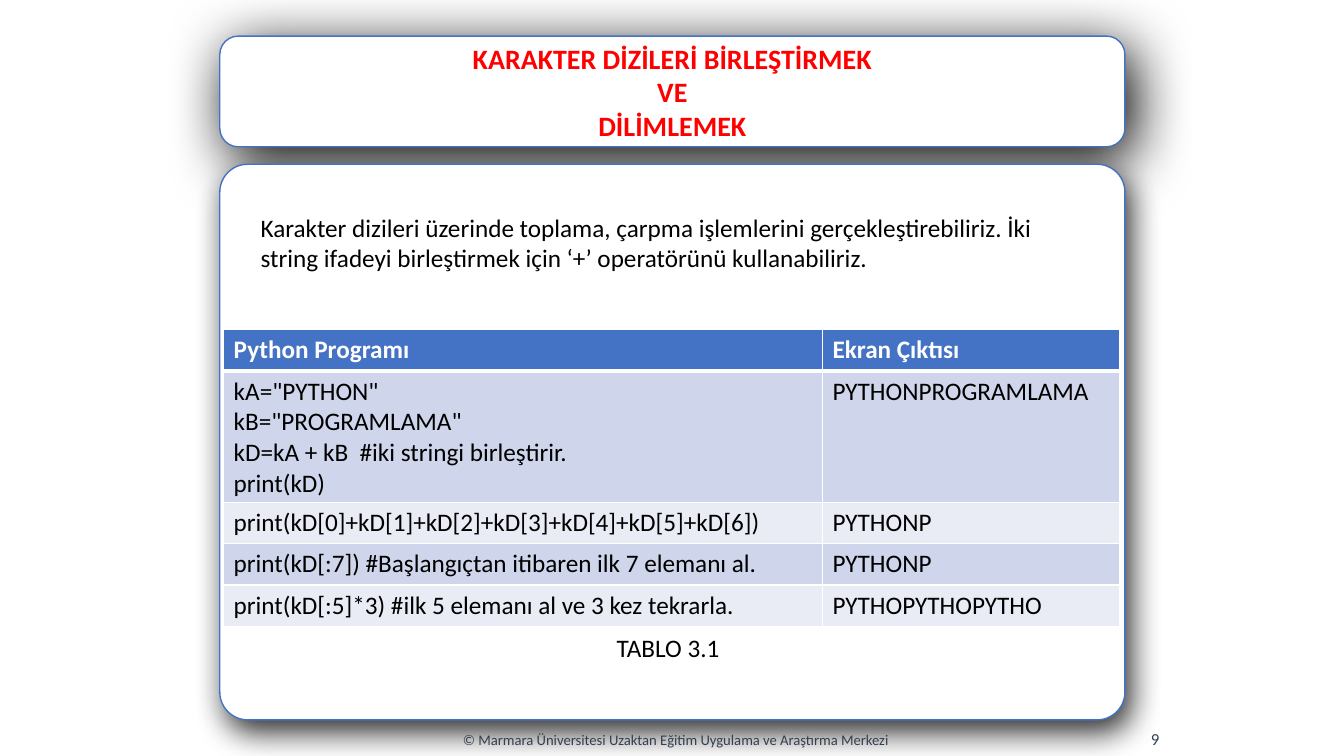
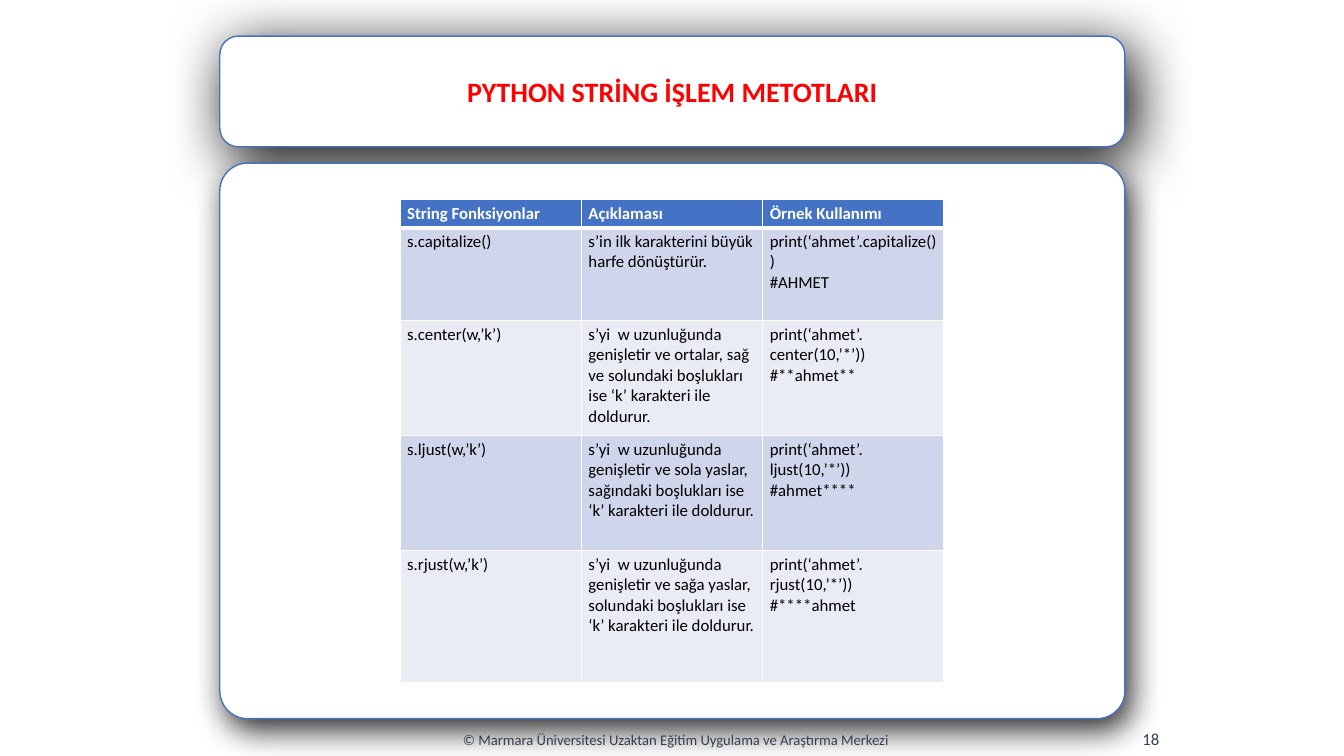
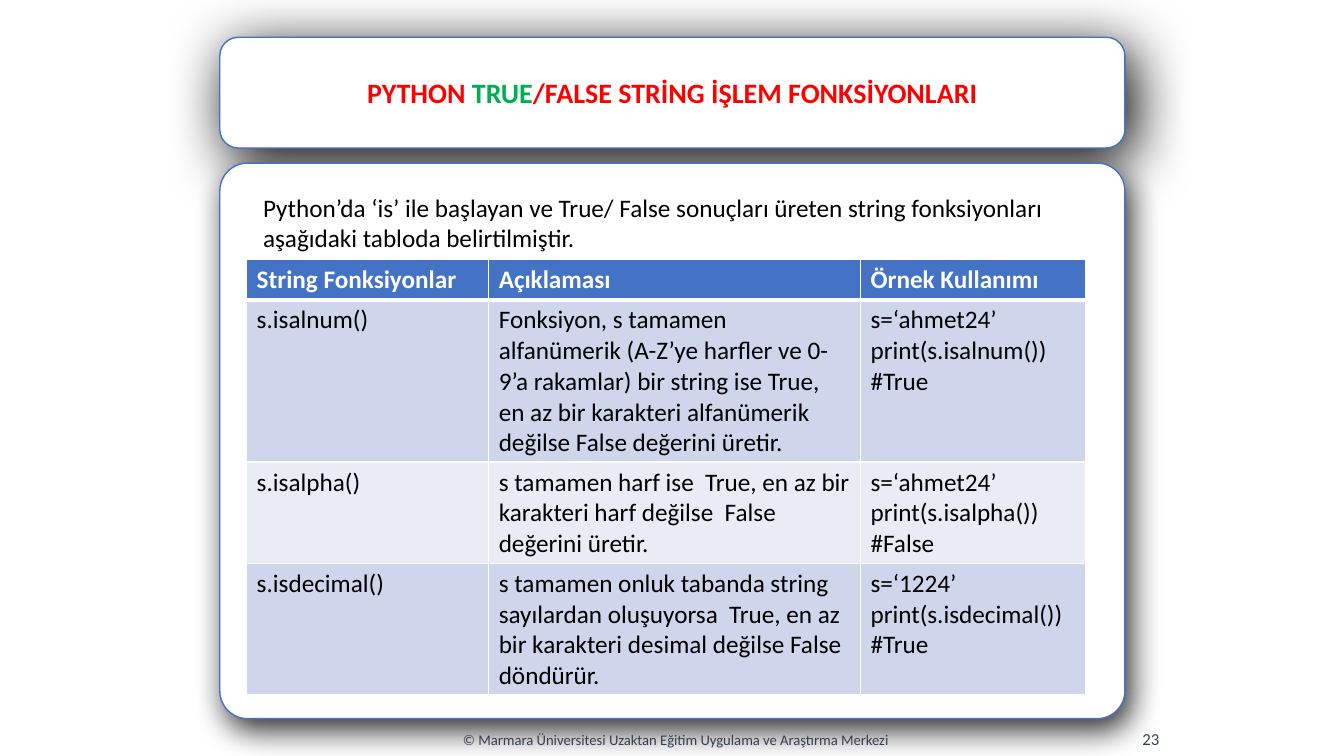
from pptx import Presentation
from pptx import util as u
from pptx.dml import color
from pptx.enum import shapes, text
from pptx.oxml import parse_xml
from pptx.oxml.ns import nsdecls

RED, GREEN, BLUE, SLATE = "FF0000", "00B050", "4472C4", "333F50"
WHITE, BLACK = "FFFFFF", "000000"
BANDS = "CFD5EA", "E9EBF5"
LEFT, CENTER, RIGHT = text.PP_ALIGN.LEFT, text.PP_ALIGN.CENTER, text.PP_ALIGN.RIGHT
TOP, MIDDLE = text.MSO_ANCHOR.TOP, text.MSO_ANCHOR.MIDDLE
OWNER = "© Marmara Üniversitesi Uzaktan Eğitim Uygulama ve Araştırma Merkezi"
HEADS = ["String Fonksiyonlar", "Açıklaması", "Örnek Kullanımı"]
CARD = 5.54, 22.81


def rgb(code):
    return color.RGBColor.from_string(code)


def cm(values):
    return [u.Cm(v) for v in values]


def put(item, form):
    for key, value in form.items():
        setattr(item, key, value)


def write(frame, lines, size, tint=BLACK, bold=False, align=LEFT):
    for i, line in enumerate(lines):
        para = frame.add_paragraph() if i else frame.paragraphs[0]
        put(para, {"alignment": align, "line_spacing": 1.0})
        for words, hue in [(line, tint)] if isinstance(line, str) else line:
            run = para.add_run()
            run.text = words
            put(run.font, {"name": "Calibri", "size": u.Pt(size), "bold": bold})
            run.font.color.rgb = rgb(hue)


def label(slide, box, words, size, tint=BLACK, align=LEFT, anchor=TOP):
    frame = slide.shapes.add_textbox(*cm(box)).text_frame
    put(frame, {"word_wrap": True, "vertical_anchor": anchor})
    write(frame, [words], size, tint, align=align)


def card(slide, top, high, alpha, blur, angle, round=None):
    left, wide = CARD
    kind = shapes.MSO_SHAPE.ROUNDED_RECTANGLE
    shape = slide.shapes.add_shape(kind, *cm((left, top, wide, high)))
    if round:
        shape.adjustments[0] = round
    shape.fill.solid()
    shape.fill.fore_color.rgb = rgb(WHITE)
    shape.line.color.rgb = rgb(BLUE)
    shape.line.width = u.Pt(1)
    shape._element.spPr.append(parse_xml(
        f'<a:effectLst {nsdecls("a")}><a:outerShdw blurRad="{u.Pt(blur)}" '
        f'dist="{u.Pt(9)}" dir="{angle * 60000}" algn="ctr" rotWithShape="0">'
        f'<a:srgbClr val="{BLACK}"><a:alpha val="{alpha * 1000}"/></a:srgbClr>'
        '</a:outerShdw></a:effectLst>'))


def page(deck, lines, number, top=0.91, body=4.11):
    slide = deck.slides.add_slide(deck.slide_layouts[5])
    card(slide, top, 2.79, 99, 43, 60)
    card(slide, body, 14, 81, 23, 64, 0.05)
    title = slide.shapes.title
    left, wide = CARD
    put(title, dict(zip(("left", "top", "width", "height"), cm((left, top, wide, 2.79)))))
    put(title.text_frame, {"word_wrap": True, "vertical_anchor": MIDDLE,
                           "auto_size": text.MSO_AUTO_SIZE.NONE})
    write(title.text_frame, lines, 20, RED, True, CENTER)
    title._element.getparent().append(title._element)
    label(slide, (9.53, 18.14, 15.01, 1.02), OWNER, 10.5, SLATE, CENTER, MIDDLE)
    label(slide, (23.55, 18.11, 5.92, 1.02), number, 12, SLATE, RIGHT, MIDDLE)
    return slide


def border(cell, row):
    widths = {"L": 1, "R": 1, "T": 3 if row == 1 else 1, "B": 1 if row else 3}
    for side, wide in widths.items():
        cell._tc.get_or_add_tcPr().append(parse_xml(
            f'<a:ln{side} {nsdecls("a")} w="{u.Pt(wide)}"><a:solidFill>'
            f'<a:srgbClr val="{WHITE}"/></a:solidFill></a:ln{side}>'))


def grid(slide, spot, cols, highs, rows, size=18, pad=(0.25, 0.13)):
    box = cm((*spot, sum(cols), sum(highs)))
    table = slide.shapes.add_table(len(rows), len(cols), *box).table
    for col, wide in zip(table.columns, cols):
        col.width = u.Cm(wide)
    side, edge = cm(pad)
    for r, (row, high) in enumerate(zip(rows, highs)):
        table.rows[r].height = u.Cm(high)
        for c, words in enumerate(row):
            cell = table.cell(r, c)
            put(cell, {"margin_left": side, "margin_right": side,
                       "margin_top": edge, "margin_bottom": edge})
            border(cell, r)
            cell.fill.solid()
            cell.fill.fore_color.rgb = rgb(BANDS[(r - 1) % 2] if r else BLUE)
            write(cell.text_frame, words.split("\n"), size,
                  BLACK if r else WHITE, r == 0)


def slicing(deck):
    slide = page(deck, ["KARAKTER DİZİLERİ BİRLEŞTİRMEK", "VE", "DİLİMLEMEK"],
                 "9", body=4.14)
    label(slide, (6.32, 5.23, 21.18, 1.8),
          "Karakter dizileri üzerinde toplama, çarpma işlemlerini "
          "gerçekleştirebiliriz. İki string ifadeyi birleştirmek için ‘+’ "
          "operatörünü kullanabiliriz.", 18)
    grid(slide, (5.64, 8.31), (15.09, 7.49), (1.04, 3.25, 1.04, 1.04, 1.04), [
        ["Python Programı", "Ekran Çıktısı"],
        ['kA="PYTHON"\nkB="PROGRAMLAMA"\n'
         'kD=kA + kB  #iki stringi birleştirir.\nprint(kD)', "PYTHONPROGRAMLAMA"],
        ["print(kD[0]+kD[1]+kD[2]+kD[3]+kD[4]+kD[5]+kD[6])", "PYTHONP"],
        ["print(kD[:7]) #Başlangıçtan itibaren ilk 7 elemanı al.", "PYTHONP"],
        ["print(kD[:5]*3) #ilk 5 elemanı al ve 3 kez tekrarla.", "PYTHOPYTHOPYTHO"],
    ])
    label(slide, (15.29, 15.8, 3.25, 1.02), "TABLO 3.1", 18)


def methods(deck):
    slide = page(deck, ["PYTHON STRİNG İŞLEM METOTLARI"], "18")
    rows = [HEADS, ["s.capitalize()", "s’in ilk karakterini büyük harfe dönüştürür.",
                    "print(‘ahmet’.capitalize())\n#AHMET"]]
    for name, act, out in [
        ("center", "ortalar, sağ ve solundaki", "**ahmet**"),
        ("ljust", "sola yaslar, sağındaki", "ahmet****"),
        ("rjust", "sağa yaslar, solundaki", "****ahmet"),
    ]:
        rows.append([
            f"s.{name}(w,’k’)",
            f"s’yi  w uzunluğunda genişletir ve {act} boşlukları ise "
            "‘k’ karakteri ile doldurur.",
            f"print(‘ahmet’. {name}(10,’*’))\n#{out}"])
    grid(slide, (10.08, 5.03), [4.57] * 3, (0.71, 2.34, 2.9, 2.9, 3.33),
         rows, 12, (0.18, 0.09))


def checks(deck):
    slide = page(deck, [[("PYTHON ", RED), ("TRUE", GREEN),
                         ("/FALSE STRİNG İŞLEM FONKSİYONLARI", RED)]], "23", 0.94)
    label(slide, (6.38, 4.72, 20.83, 1.8),
          "Python’da ‘is’ ile başlayan ve True/ False sonuçları üreten string "
          "fonksiyonları aşağıdaki tabloda belirtilmiştir.", 18)
    rows = [HEADS]
    for name, about, value, out in [
        ("isalnum", "Fonksiyon, s tamamen alfanümerik (A-Z’ye harfler ve 0-9’a "
         "rakamlar) bir string ise True, en az bir karakteri alfanümerik değilse "
         "False değerini üretir.", "ahmet24", "True"),
        ("isalpha", "s tamamen harf ise  True, en az bir karakteri harf değilse  "
         "False değerini üretir.", "ahmet24", "False"),
        ("isdecimal", "s tamamen onluk tabanda string sayılardan oluşuyorsa  True, "
         "en az bir karakteri desimal değilse False döndürür.", "1224", "True"),
    ]:
        rows.append([f"s.{name}()", about, f"s=‘{value}’\nprint(s.{name}())\n#{out}"])
    grid(slide, (6.22, 6.53), (6.1, 9.37, 5.66), (0.99, 4.09, 2.54, 3.3), rows)


def main():
    deck = Presentation()
    put(deck, {"slide_width": u.Cm(33.87), "slide_height": u.Cm(19.05)})
    for build in (slicing, methods, checks):
        build(deck)
    deck.save("out.pptx")


main()
